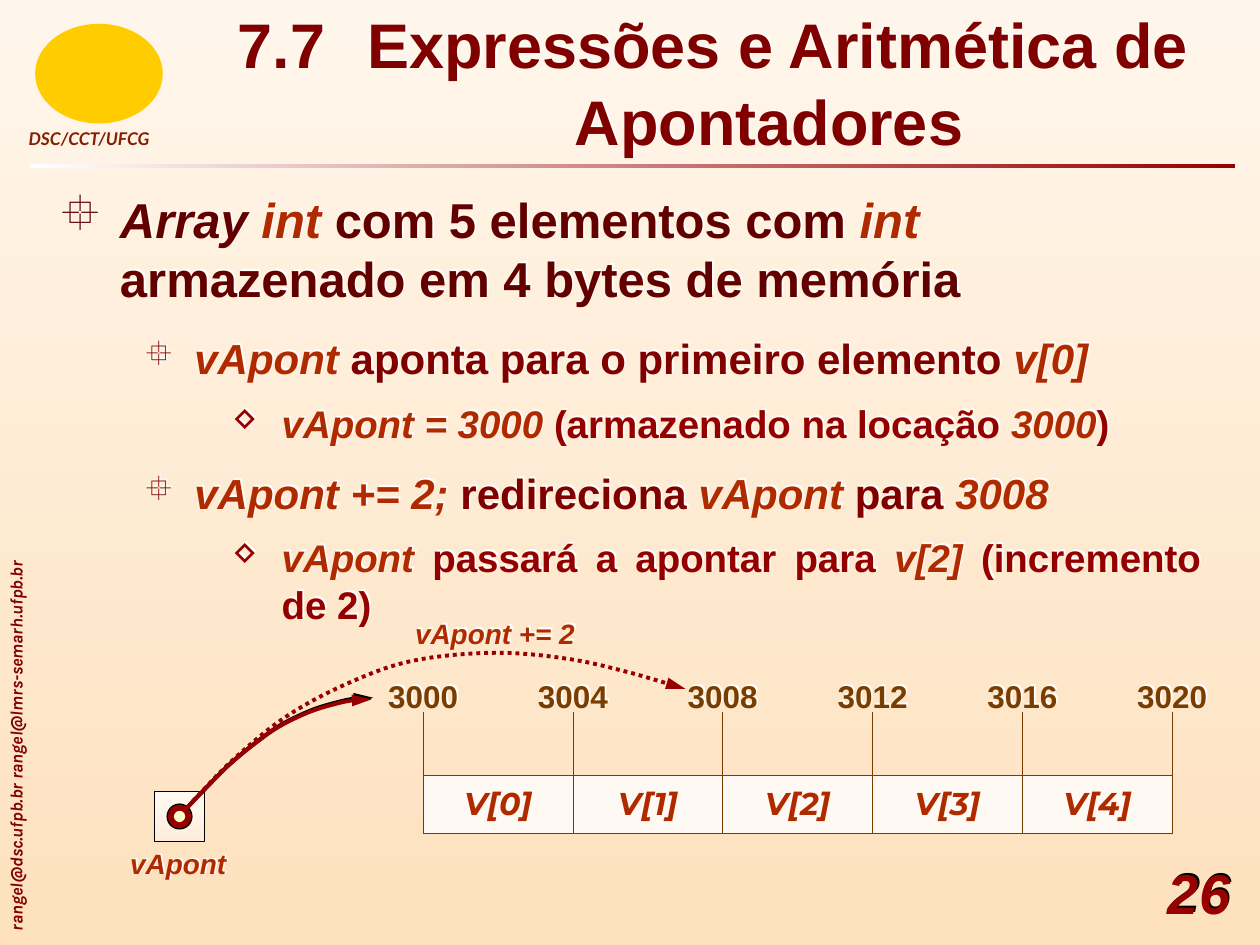
from lxml import etree
from pptx import Presentation
from pptx import util as u
from pptx.dml.color import RGBColor
from pptx.enum import dml, shapes, text
from pptx.oxml import ns

WHITE = RGBColor(0xFF, 0xFF, 0xFF)
BLACK = RGBColor(0, 0, 0)
CREAM = RGBColor(0xFF, 0xF6, 0xEB)
PEACH = RGBColor(0xFE, 0xE1, 0xBE)
IVORY = RGBColor(0xFF, 0xF9, 0xF3)
BLUSH = RGBColor(0xFF, 0xED, 0xDB)
PALE_YELLOW = RGBColor(0xFF, 0xFF, 0xCC)
GOLD = RGBColor(0xFF, 0xCC, 0x00)
RED = RGBColor(0x99, 0x00, 0x00)
ARROW_RED = RGBColor(0x96, 0x00, 0x00)
MAROON = RGBColor(0x80, 0x00, 0x00)
DARK_MAROON = RGBColor(0x62, 0x00, 0x00)
CRIMSON = RGBColor(0x94, 0x00, 0x00)
RUST = RGBColor(0xB0, 0x2A, 0x00)
RUSSET = RGBColor(0x82, 0x1F, 0x00)
BROWN = RGBColor(0x7A, 0x3D, 0x00)

COLUMN = 3.02
ARRAY_LEFT = 8.53

# Wingdings draws these two characters as a target and a four-pointed star
TARGET, STAR = "°", "²"

# Per level: text size, line height, left margin, hanging, bullet, bullet size, colour
LEVELS = [
    (28, 33.3, 1.24, 1.24, TARGET, 100, DARK_MAROON),
    (24, 29, 2.74, 1.02, TARGET, 80, MAROON),
    (22, 27, 4.5, 1.02, STAR, 80, CRIMSON),
]

# Level, space before, justified, runs with their role
POINTS = [
    (0, 0, False, [("Array ", "italic"), ("int", "code"), (" com 5 elementos com ", ""),
                   ("int", "code"), (" armazenado em 4 bytes de memória", "")]),
    (1, 14.5, True, [("vApont", "code"), (" aponta para o primeiro elemento ", ""),
                     ("v[0]", "code")]),
    (2, 9, False, [("vApont = 3000 ", "code"), ("(armazenado na locação ", ""),
                   ("3000", "code"), (")", "")]),
    (1, 12, True, [("vApont += 2;", "code"), (" redireciona ", ""),
                   ("vApont", "code"), (" para ", ""), ("3008", "code")]),
    (2, 8.5, True, [("vApont ", "code"), ("passará a apontar para ", ""),
                    ("v[2] ", "code"), ("(incremento de 2)", "")]),
]

START_CURVE = [(3.68, 16.38), (4.11, 15.93), (4.62, 15.42), (5.18, 14.96), (5.66, 14.63),
               (6.25, 14.35), (6.73, 14.2), (7.11, 14.12), (7.49, 14.1)]
MOVED_CURVE = [(3.89, 16.15), (4.75, 15.27), (5.84, 14.4), (7.14, 13.72), (8.38, 13.31),
               (9.98, 13.16), (11.43, 13.28), (12.62, 13.54), (13.82, 13.89)]


def sub(parent, tag, **attributes):
    return etree.SubElement(parent, ns.qn(tag), **attributes)


def add_shadow(shape, color):
    effects = shape._element.spPr.find(ns.qn("a:effectLst"))
    if effects is None:
        effects = sub(shape._element.spPr, "a:effectLst")
    shadow = sub(effects, "a:outerShdw", dist=str(int(u.Pt(1.4))),
                 dir=str(315 * 60000), algn="ctr", rotWithShape="0")
    sub(shadow, "a:srgbClr", val=str(color))


def style_run(run, size, color, font="Arial", italic=False):
    run.font.size = u.Pt(size)
    run.font.name = font
    run.font.bold = True
    run.font.italic = italic
    run.font.color.rgb = color


def gradient(fill, first, last, angle):
    fill.gradient()
    fill.gradient_angle = angle
    for stop, color in zip(fill.gradient_stops, (first, last)):
        stop.color.rgb = color


def add_box(slide, left, top, width, height, inset=(0, 0), shadow=WHITE):
    box = slide.shapes.add_textbox(u.Cm(left), u.Cm(top), u.Cm(width), u.Cm(height))
    frame = box.text_frame
    frame.word_wrap = True
    frame.margin_left = frame.margin_right = u.Cm(inset[0])
    frame.margin_top = frame.margin_bottom = u.Cm(inset[1])
    if shadow is not None:
        add_shadow(box, shadow)
    return box


def add_label(slide, words, place, size, color, align=text.PP_ALIGN.CENTER,
              inset=(0, 0), shadow=WHITE, **style):
    box = add_box(slide, *place, inset=inset, shadow=shadow)
    paragraph = box.text_frame.paragraphs[0]
    paragraph.text = words
    paragraph.alignment = align
    style_run(paragraph.runs[0], size, color, **style)
    return box


def add_solid(slide, kind, left, top, width, height, color=None, line=None):
    solid = slide.shapes.add_shape(kind, u.Cm(left), u.Cm(top), u.Cm(width), u.Cm(height))
    solid.shadow.inherit = False
    if color is not None:
        solid.fill.solid()
        solid.fill.fore_color.rgb = color
    if line is None:
        solid.line.fill.background()
    else:
        solid.line.color.rgb = line
        solid.line.width = u.Pt(0.75)
    return solid


def smooth(knots, steps=8):
    """Catmull-Rom points through the knots."""
    padded = [knots[0], *knots, knots[-1]]
    for a, b, c, d in zip(padded, padded[1:], padded[2:], padded[3:]):
        for step in range(1, steps + 1):
            t = step / steps
            yield tuple(u.Cm(0.5 * (2 * q + (r - p) * t + (2 * p - 5 * q + 4 * r - s) * t ** 2
                                    + (3 * q - p - 3 * r + s) * t ** 3))
                        for p, q, r, s in zip(a, b, c, d))


def add_curved_arrow(slide, knots, dash=None):
    builder = slide.shapes.build_freeform(u.Cm(knots[0][0]), u.Cm(knots[0][1]))
    builder.add_line_segments(list(smooth(knots)), close=False)
    arrow = builder.convert_to_shape()
    arrow.shadow.inherit = False
    arrow.fill.background()
    arrow.line.color.rgb = ARROW_RED
    arrow.line.width = u.Pt(2.25)
    if dash is not None:
        arrow.line.dash_style = dash
    sub(arrow.line._get_or_add_ln(), "a:tailEnd", type="triangle", len="lg")
    return arrow


def add_title(slide):
    title = add_label(slide, "7.7\t Expressões e Aritmética de Apontadores",
                      (3.35, 0, 22.05, 3.28), 36, MAROON, inset=(0.25, 0.13))
    title.text_frame.vertical_anchor = text.MSO_ANCHOR.MIDDLE
    paragraph = title.text_frame.paragraphs[0]
    paragraph.line_spacing = u.Pt(44)
    properties = paragraph._p.get_or_add_pPr()
    properties.set("marL", str(u.Cm(2.26)))
    properties.set("indent", str(-u.Cm(2.26)))
    tabs = sub(properties, "a:tabLst")
    for inch in range(8):
        sub(tabs, "a:tab", pos=str(u.Cm(2.54 * inch)), algn="l")


def add_points(slide):
    frame = add_box(slide, 0.93, 3.71, 23.53, 9.37, inset=(0.25, 0.13)).text_frame
    for number, (level, before, justified, pieces) in enumerate(POINTS):
        size, height, margin, hanging, bullet, bullet_size, color = LEVELS[level]
        paragraph = frame.add_paragraph() if number else frame.paragraphs[0]
        properties = paragraph._p.get_or_add_pPr()
        properties.set("marL", str(u.Cm(margin)))
        properties.set("indent", str(-u.Cm(hanging)))
        sub(sub(properties, "a:buClr"), "a:srgbClr", val=str(color))
        sub(properties, "a:buSzPct", val=str(bullet_size * 1000))
        sub(properties, "a:buFont", typeface="Wingdings", pitchFamily="2", charset="2")
        sub(properties, "a:buChar", char=bullet)
        paragraph.level = level
        paragraph.alignment = text.PP_ALIGN.JUSTIFY if justified else text.PP_ALIGN.LEFT
        paragraph.line_spacing = u.Pt(height)
        if before:
            paragraph.space_before = u.Pt(before)
        for words, role in pieces:
            run = paragraph.add_run()
            run.text = words
            style_run(run, size, RUST if role == "code" else color, italic=bool(role))


def set_borders(cell, sides):
    properties = cell._tc.get_or_add_tcPr()
    for side in "LRTB":
        border = sub(properties, f"a:ln{side}", w=str(int(u.Pt(0.45))))
        if side in sides:
            sub(sub(border, "a:solidFill"), "a:srgbClr", val=str(BROWN))
        else:
            sub(border, "a:noFill")


def add_array(slide):
    table = slide.shapes.add_table(2, 5, u.Cm(ARRAY_LEFT), u.Cm(14.35),
                                   u.Cm(5 * COLUMN), u.Cm(2.44)).table
    table.first_row = table.horz_banding = False
    table.rows[0].height, table.rows[1].height = u.Cm(1.27), u.Cm(1.17)
    for index, column in enumerate(table.columns):
        column.width = u.Cm(COLUMN)
        tick, element = table.cell(0, index), table.cell(1, index)
        set_borders(tick, "LRB")
        tick.fill.background()
        set_borders(element, "LRTB")
        element.fill.solid()
        element.fill.fore_color.rgb = IVORY
        element.vertical_anchor = text.MSO_ANCHOR.MIDDLE
        paragraph = element.text_frame.paragraphs[0]
        paragraph.text = f"V[{index}]"
        paragraph.alignment = text.PP_ALIGN.CENTER
        style_run(paragraph.runs[0], 18, RUST, "Montserrat", italic=True)
    # Address above each cell edge
    for edge in range(6):
        add_label(slide, str(3000 + 4 * edge),
                  (ARRAY_LEFT - 0.85 + edge * COLUMN, 13.64, 1.7, 0.76), 18, BROWN)


def add_pointer(slide):
    rectangle, oval = shapes.MSO_SHAPE.RECTANGLE, shapes.MSO_SHAPE.OVAL
    box = add_solid(slide, rectangle, 3.12, 15.96, 1, 1, line=BLACK)
    gradient(box.fill, IVORY, BLUSH, 270)
    add_solid(slide, oval, 3.37, 16.21, 0.5, 0.5, ARROW_RED, BLACK)
    add_shadow(add_curved_arrow(slide, START_CURVE), BLACK)
    add_solid(slide, oval, 3.52, 16.36, 0.2, 0.2, PALE_YELLOW, PALE_YELLOW)
    add_label(slide, "vApont", (2.44, 17.07, 2.31, 0.69), 16, RUST, italic=True)
    add_curved_arrow(slide, MOVED_CURVE, dml.MSO_LINE.ROUND_DOT)
    add_label(slide, "vApont += 2", (8, 12.42, 3.96, 0.69), 16, RUST, italic=True)


def add_frame(slide):
    gradient(slide.background.fill, CREAM, PEACH, 270)
    rule = add_solid(slide, shapes.MSO_SHAPE.RECTANGLE, 0.61, 3.3, 24.28, 0.08)
    gradient(rule.fill, WHITE, RED, 0)
    contact = add_label(slide, "rangel@dsc.ufpb.br rangel@lmrs-semarh.ufpb.br",
                        (-5.61, 12.75, 11.86, 0.69), 10, MAROON, text.PP_ALIGN.LEFT,
                        (0.25, 0.13), None, font="Karla", italic=True)
    contact.rotation = 270
    add_solid(slide, shapes.MSO_SHAPE.OVAL, 0.71, 0.48, 2.57, 2.01, GOLD)
    add_label(slide, "DSC/CCT/UFCG", (0.58, 2.59, 2.82, 0.53), 10, RUSSET,
              text.PP_ALIGN.LEFT, shadow=None, font="Lato", italic=True)
    add_label(slide, "26", (22.89, 17.3, 1.91, 1.35), 32, RED,
              text.PP_ALIGN.RIGHT, shadow=BLACK, italic=True)


def main():
    deck = Presentation()
    deck.slide_width, deck.slide_height = u.Cm(25.4), u.Cm(19.05)
    slide = deck.slides.add_slide(deck.slide_layouts[6])
    add_frame(slide)
    add_points(slide)
    add_title(slide)
    add_array(slide)
    add_pointer(slide)
    deck.save("out.pptx")


if __name__ == "__main__":
    main()
